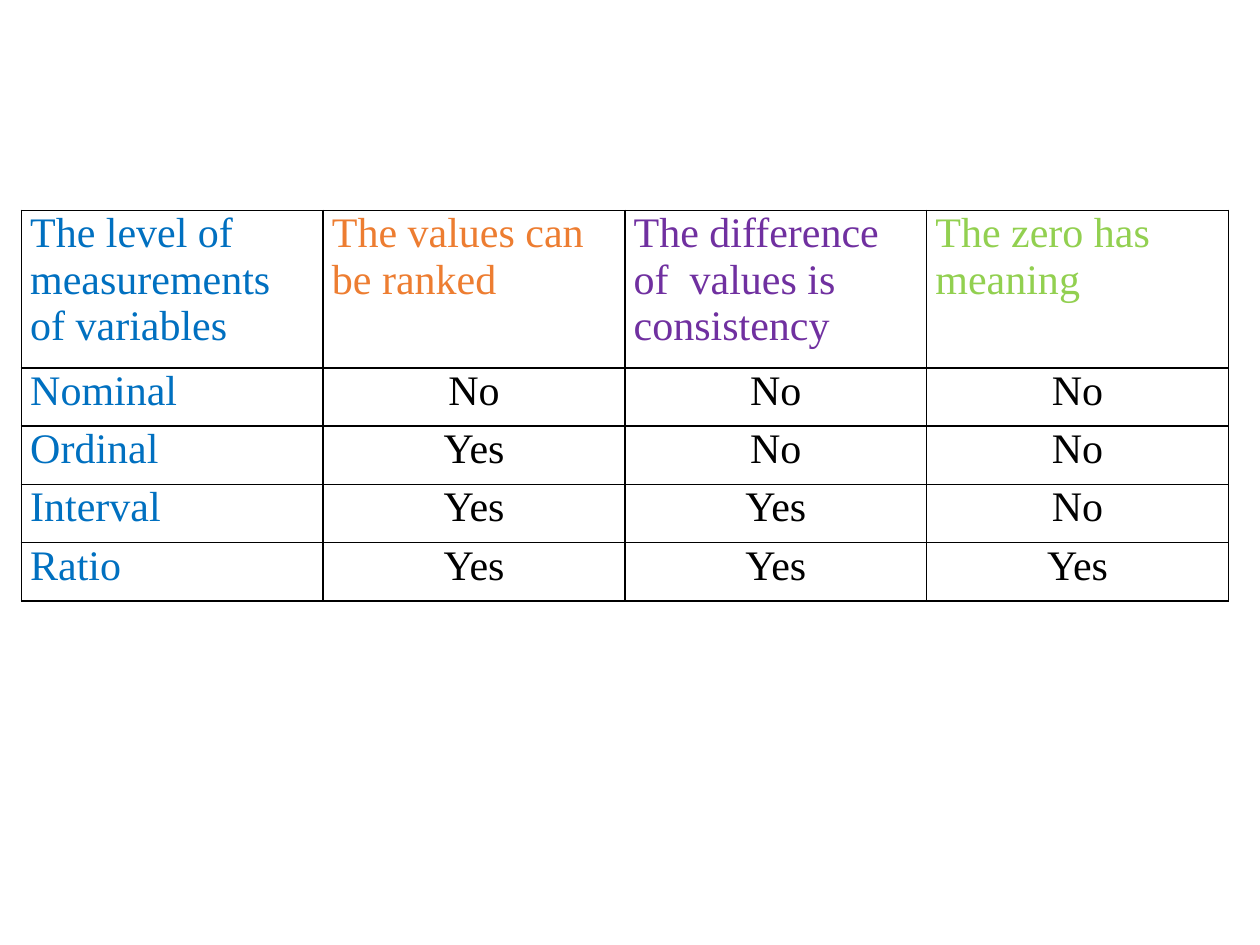
from lxml import etree
from pptx import Presentation
from pptx import util as u
from pptx.dml.color import RGBColor
from pptx.enum import text
from pptx.oxml.ns import qn

COLORS = {
    "blue": "0070C0",
    "orange": "ED7D31",
    "purple": "7030A0",
    "green": "92D050",
    "black": "000000",
}
HEADERS = [
    ("The level of measurements of variables", "blue"),
    ("The values can be ranked", "orange"),
    ("The difference of  values is consistency", "purple"),
    ("The zero has meaning", "green"),
]
LEVELS = [
    ("Nominal", "No", "No", "No"),
    ("Ordinal", "Yes", "No", "No"),
    ("Interval", "Yes", "Yes", "No"),
    ("Ratio", "Yes", "Yes", "Yes"),
]


class LevelSlide:
    """Holds the style and the current page, and draws its elements."""

    font_name = "Times New Roman"
    font_size = u.Pt(24)
    border_width = u.Pt(1)
    side_margin = u.Inches(0.07)

    def __init__(self, page):
        self.page = page

    def border(self, cell):
        properties = cell._tc.get_or_add_tcPr()
        for index, edge in enumerate(("a:lnL", "a:lnR", "a:lnT", "a:lnB")):
            line = etree.Element(qn(edge), w=str(self.border_width))
            fill = etree.SubElement(line, qn("a:solidFill"))
            etree.SubElement(fill, qn("a:srgbClr"), val=COLORS["black"])
            properties.insert(index, line)

    def cell(self, cell, words, color, centered):
        cell.margin_left = cell.margin_right = self.side_margin
        cell.margin_top = cell.margin_bottom = 0
        cell.fill.background()
        self.border(cell)
        cell.text_frame.text = words
        para = cell.text_frame.paragraphs[0]
        para.alignment = text.PP_ALIGN.CENTER if centered else text.PP_ALIGN.LEFT
        for span in para.runs:
            span.font.name = self.font_name
            span.font.size = self.font_size
            span.font.bold = False
            span.font.color.rgb = RGBColor.from_string(COLORS[color])

    def table(self, left, top, width, height, header_height, headers, rows):
        frame = self.page.shapes.add_table(
            len(rows) + 1, len(headers), left, top, width, height
        )
        table = frame.table
        table.first_row = table.horz_banding = False
        for column in table.columns:
            column.width = width // len(headers)
        for row in table.rows:
            row.height = (height - header_height) // len(rows)
        table.rows[0].height = header_height
        for column, (words, color) in enumerate(headers):
            self.cell(table.cell(0, column), words, color, False)
        for row, values in enumerate(rows, start=1):
            for column, words in enumerate(values):
                color = "black" if column else "blue"
                self.cell(table.cell(row, column), words, color, column > 0)


def main():
    deck = Presentation()
    deck.slide_width, deck.slide_height = u.Inches(10), u.Inches(7.5)
    slide = LevelSlide(deck.slides.add_slide(deck.slide_layouts[6]))
    slide.table(
        u.Inches(0.17), u.Inches(1.67), u.Inches(9.58), u.Inches(3.1),
        u.Inches(1.25), HEADERS, LEVELS,
    )
    deck.save("out.pptx")


if __name__ == "__main__":
    main()
